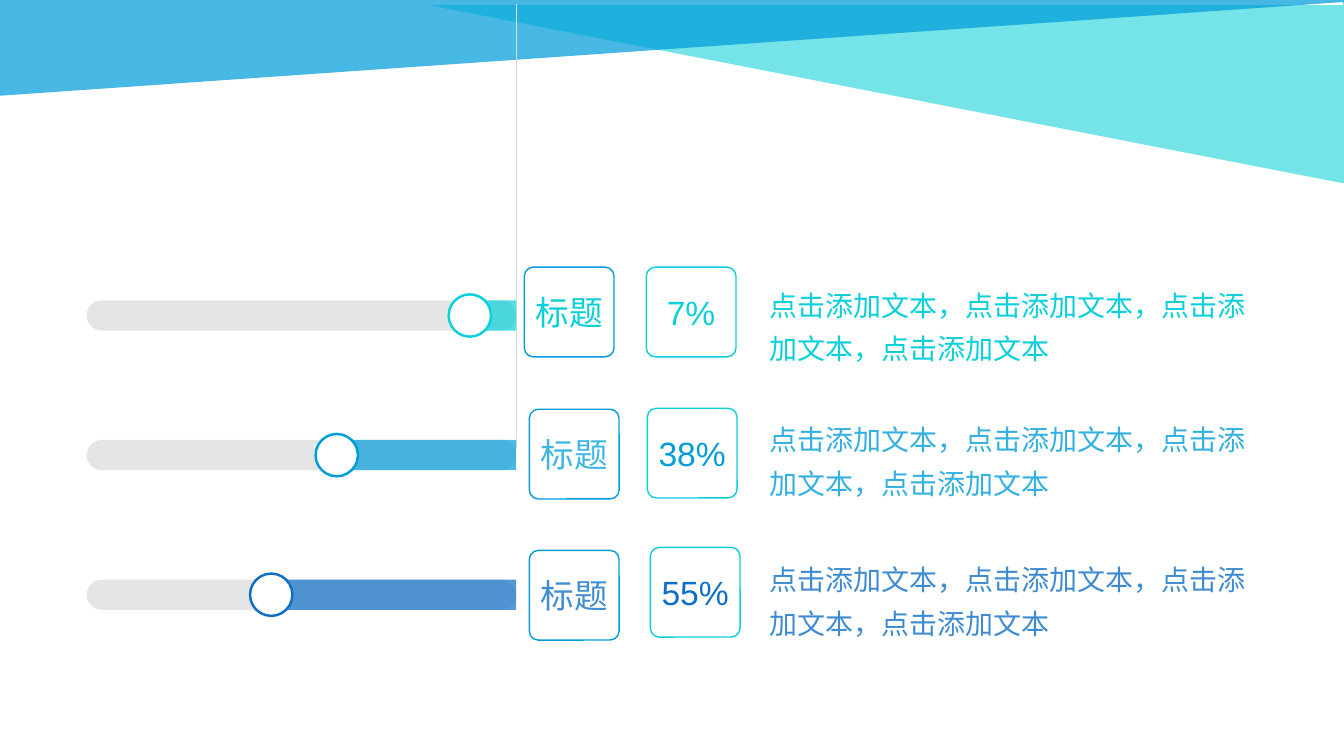
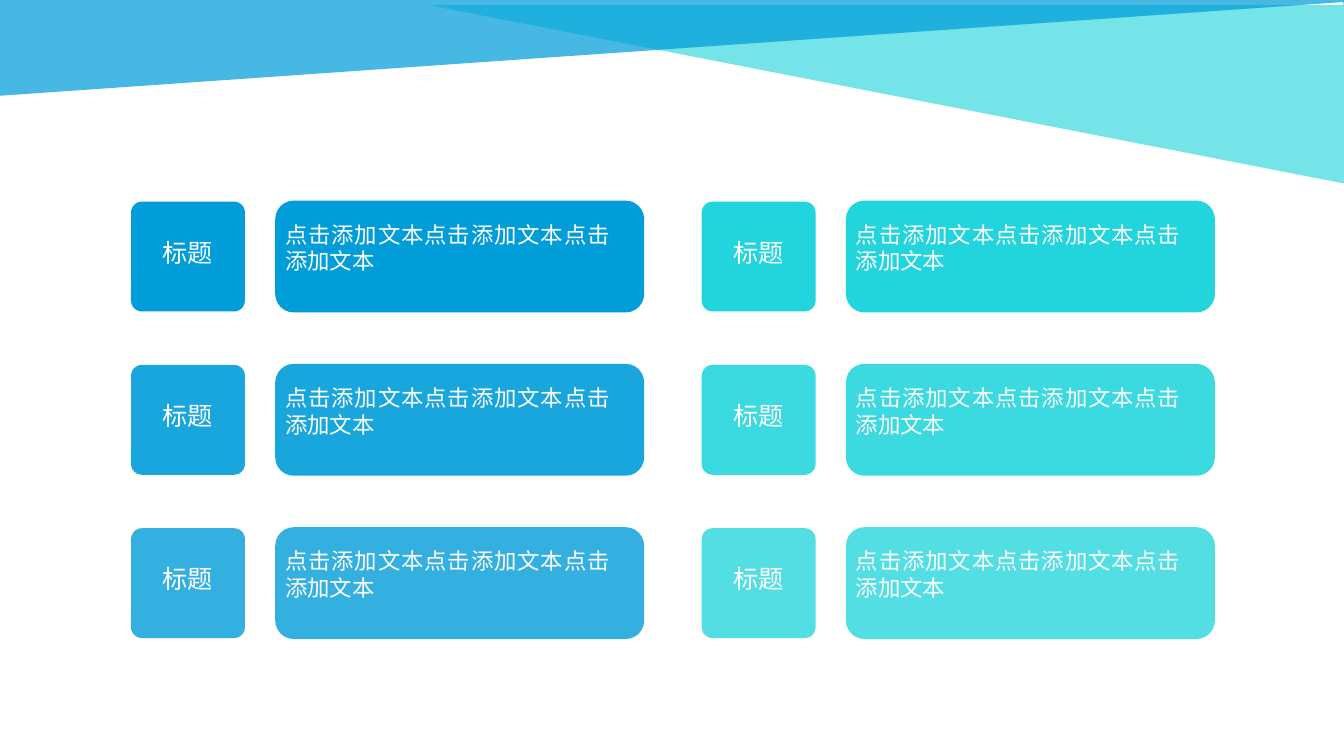
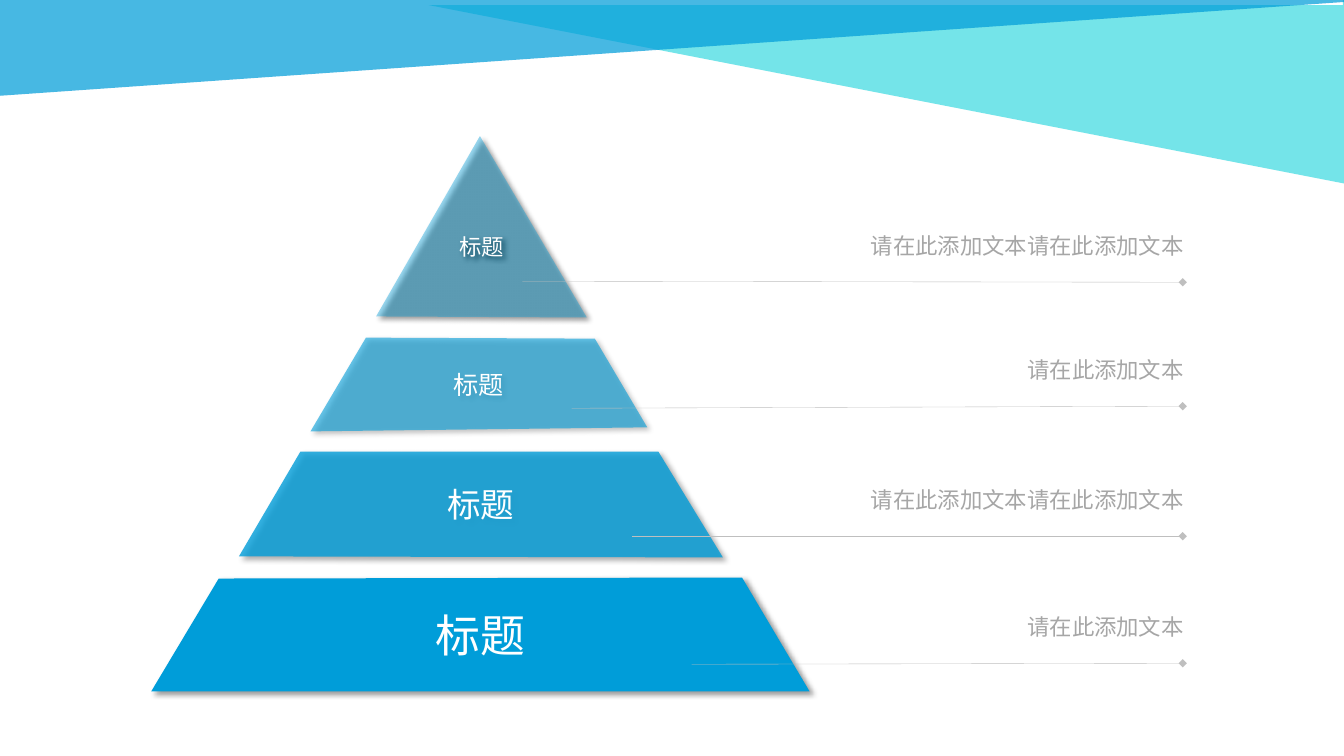
from dataclasses import dataclass
from itertools import product
from typing import Optional

from lxml.etree import SubElement
from pptx import Presentation
from pptx.dml.color import RGBColor
from pptx.enum.shapes import MSO_CONNECTOR, MSO_SHAPE
from pptx.enum.text import MSO_ANCHOR, PP_ALIGN
from pptx.oxml.ns import qn
from pptx.util import Inches, Pt

# Shared style
SLIDE_W, SLIDE_H = 13.33, 7.5
FONT = "Arial"
WHITE = RGBColor(0xFF, 0xFF, 0xFF)
NAVY = RGBColor(0x0F, 0x6F, 0xC6)
BLUE = RGBColor(0x00, 0x9D, 0xD9)
CYAN = RGBColor(0x0B, 0xD0, 0xD9)
TRACK_GREY = RGBColor(0xDA, 0xDA, 0xDA)
RULE_GREY = RGBColor(0xBF, 0xBF, 0xBF)
CAPTION_GREY = RGBColor(0xA6, 0xA6, 0xA6)
HEADING = "标题"

Point = tuple[float, float]
Box = tuple[float, float, float, float]


@dataclass(frozen=True)
class Slider:
    color: RGBColor
    percent: str
    fill_left: float
    knob_x: float
    label_at: Point
    percent_at: Point
    note_top: float
    label_alpha: int
    note_alpha: int


@dataclass(frozen=True)
class Layer:
    outline: tuple[Point, ...]
    alpha: int
    size: int
    caption: str
    caption_top: float
    rule_start: Point
    rule_end_y: float
    inset_top: float = 0.05


SLIDERS = (
    Slider(CYAN, "7%", 4.52, 4.66, (5.2, 2.65), (6.41, 2.65), 2.66, 100, 100),
    Slider(BLUE, "38%", 3.26, 3.34, (5.25, 4.06), (6.42, 4.05), 3.99, 75, 80),
    Slider(NAVY, "55%", 2.71, 2.69, (5.25, 5.46), (6.45, 5.43), 5.38, 78, 80),
)
SHORT_CAPTION = "请在此添加文本"
LAYERS = (
    Layer(((3.73, 3.14), (4.76, 1.35), (5.82, 3.15)), 40, 16,
          SHORT_CAPTION * 2, 2.25, (5.18, 2.79), 2.8, inset_top=0.39),
    Layer(((3.08, 4.28), (3.63, 3.35), (5.9, 3.36), (6.42, 4.24)), 60, 18,
          SHORT_CAPTION, 3.48, (5.67, 4.05), 4.03),
    Layer(((2.37, 5.52), (2.98, 4.48), (6.53, 4.48), (7.17, 5.53)), 80, 24,
          SHORT_CAPTION * 2, 4.77, (6.27, 5.32), 5.32),
    Layer(((1.5, 6.86), (2.17, 5.74), (7.36, 5.73), (8.03, 6.86)), 100, 32,
          SHORT_CAPTION, 6.03, (6.86, 6.59), 6.58),
)


# Drawing helpers
def set_alpha(parent, percent: int) -> None:
    """Make the solid fill inside parent see-through."""
    if percent < 100:
        color = parent.find(qn("a:solidFill"))[0]
        SubElement(color, qn("a:alpha")).set("val", str(percent * 1000))


def style(shape, fill: Optional[RGBColor], alpha: int = 100,
          line: Optional[RGBColor] = None, width: float = 1):
    shape.shadow.inherit = False
    if fill is None:
        shape.fill.background()
    else:
        shape.fill.solid()
        shape.fill.fore_color.rgb = fill
        set_alpha(shape.element.spPr, alpha)
    if line is None:
        shape.line.fill.background()
    else:
        shape.line.color.rgb = line
        shape.line.width = Pt(width)
    return shape


def add_preset(slide, kind: MSO_SHAPE, box: Box, fill: Optional[RGBColor],
               corner: Optional[float] = None, **look):
    shape = slide.shapes.add_shape(kind, *map(Inches, box))
    if corner is not None:
        shape.adjustments[0] = corner
    return style(shape, fill, **look)


def add_polygon(slide, points: tuple[Point, ...], fill: RGBColor, alpha: int):
    corners = [(Inches(x), Inches(y)) for x, y in points]
    builder = slide.shapes.build_freeform(*corners[0], scale=1.0)
    builder.add_line_segments(corners[1:], close=True)
    return style(builder.convert_to_shape(), fill, alpha)


def add_line(slide, start: Point, end: Point, color: RGBColor, width: float,
             tail: Optional[str] = None) -> None:
    line = slide.shapes.add_connector(
        MSO_CONNECTOR.STRAIGHT, *map(Inches, (*start, *end)))
    line.line.color.rgb = color
    line.line.width = Pt(width)
    properties = line.element.spPr
    if tail:
        SubElement(properties.find(qn("a:ln")), qn("a:tailEnd")).set("type", tail)
    SubElement(properties, qn("a:effectLst"))


def add_shadow(shape) -> None:
    effects = shape.element.spPr.find(qn("a:effectLst"))
    shadow = SubElement(effects, qn("a:outerShdw"), blurRad=str(Pt(4)),
                        dist=str(Pt(3)), dir=str(45 * 60000), algn="tl",
                        rotWithShape="0")
    color = SubElement(shadow, qn("a:srgbClr"), val="000000")
    SubElement(color, qn("a:alpha"), val="40000")


def write(shape, text: str, *, size: float, color: RGBColor = WHITE,
          alpha: int = 100, align: PP_ALIGN = PP_ALIGN.CENTER,
          anchor: MSO_ANCHOR = MSO_ANCHOR.MIDDLE,
          insets: Box = (0.1, 0.05, 0.1, 0.05),
          spacing: Optional[float] = None, before: float = 0) -> None:
    frame = shape.text_frame
    frame.word_wrap = True
    frame.vertical_anchor = anchor
    (frame.margin_left, frame.margin_top,
     frame.margin_right, frame.margin_bottom) = map(Inches, insets)
    paragraph = frame.paragraphs[0]
    paragraph.alignment = align
    paragraph.space_before = Pt(before)
    if spacing:
        paragraph.line_spacing = spacing
    run = paragraph.add_run()
    run.text = text
    run.font.name = FONT
    run.font.size = Pt(size)
    run.font.color.rgb = color
    for properties in shape.element.iter(qn("a:rPr")):
        set_alpha(properties, alpha)


def add_text(slide, box: Box, text: str, **text_format) -> None:
    write(slide.shapes.add_textbox(*map(Inches, box)), text,
          anchor=MSO_ANCHOR.TOP, **text_format)


# Header bands, kept once on the layout
def move_bands_to_layout(slide) -> None:
    bands = (
        add_polygon(slide, ((4.25, 0.05), (13.32, 0.05), (13.32, 0),
                            (SLIDE_W, 0), (SLIDE_W, 1.82)), CYAN, 57),
        add_polygon(slide, ((0, 0), (SLIDE_W, 0), (SLIDE_W, 0.02), (0, 0.95)),
                    BLUE, 72),
    )
    for number, band in enumerate(bands, start=101):
        band.element.nvSpPr.cNvPr.set("id", str(number))
        slide.slide_layout.shapes.element.append(band.element)


# Slide 1: sliders with percentages
def draw_sliders(slide) -> None:
    track_left, axis_x, bar_height, knob = 0.86, 5.12, 0.3, 0.42
    first_top, pitch, tile = 2.98, 1.385, 0.89
    note = "点击添加文本，点击添加文本，点击添加文本，点击添加文本"
    add_line(slide, (axis_x, 4.44), (axis_x, 0.04), TRACK_GREY, 0.5)
    for row, item in enumerate(SLIDERS):
        top = first_top + row * pitch
        add_preset(slide, MSO_SHAPE.ROUNDED_RECTANGLE,
                   (track_left, top, axis_x - track_left, bar_height),
                   TRACK_GREY, corner=0.5, alpha=70)
        add_preset(slide, MSO_SHAPE.RECTANGLE,
                   (item.fill_left, top, axis_x - item.fill_left, bar_height),
                   item.color, alpha=70)
        add_preset(slide, MSO_SHAPE.OVAL,
                   (item.knob_x - knob / 2, top + (bar_height - knob) / 2,
                    knob, knob), WHITE, line=item.color, width=1.75)
        for place, text, edge, alpha in (
                (item.label_at, HEADING, BLUE, item.label_alpha),
                (item.percent_at, item.percent, CYAN, 100)):
            frame = add_preset(slide, MSO_SHAPE.ROUNDED_RECTANGLE,
                               (*place, tile, tile), None, corner=0.1, line=edge)
            write(frame, text, size=24, color=item.color, alpha=alpha,
                  insets=(0, 0, 0, 0))
        add_text(slide, (7.53, item.note_top, 4.95, 1.29), note, size=20,
                 color=item.color, alpha=item.note_alpha, align=PP_ALIGN.LEFT,
                 insets=(0.1, 0.1, 0.1, 0.1), spacing=1.3)


# Slide 2: two columns of three cards
def draw_cards(slide) -> None:
    left, top, column_pitch, row_pitch = 1.3, 1.99, 5.66, 1.62
    columns = ((BLUE, 100), (CYAN, 90))
    for (column, (color, first_alpha)), row in product(enumerate(columns), range(3)):
        x, y = left + column * column_pitch, top + row * row_pitch
        alpha = first_alpha - 10 * row
        add_preset(slide, MSO_SHAPE.ROUNDED_RECTANGLE,
                   (x + 1.43, y, 3.66, 1.11), color, alpha=alpha)
        add_text(slide, (x + 1.43, y + 0.15, 3.42, 0.99), "点击添加文本" * 3,
                 size=16, align=PP_ALIGN.JUSTIFY, before=6)
        heading = add_preset(slide, MSO_SHAPE.ROUNDED_RECTANGLE,
                             (x, y + 0.01, 1.13, 1.09), color,
                             corner=0.1, alpha=alpha)
        write(heading, HEADING, size=18, insets=(0.1, 0.05, 0.1, 0.14))


# Slide 3: pyramid with captions
def draw_pyramid(slide) -> None:
    rule_right = 11.73
    for layer in LAYERS:
        block = add_polygon(slide, layer.outline, BLUE, layer.alpha)
        add_shadow(block)
        bottom = 0 if layer.inset_top > 0.05 else 0.05
        write(block, HEADING, size=layer.size,
              insets=(0, layer.inset_top, 0, bottom))
    for layer in LAYERS:
        add_text(slide, (7.88, layer.caption_top, 3.96, 0.37), layer.caption,
                 size=16, color=CAPTION_GREY, align=PP_ALIGN.RIGHT)
        add_line(slide, layer.rule_start, (rule_right, layer.rule_end_y),
                 RULE_GREY, 0.25, tail="diamond")


def main() -> None:
    deck = Presentation()
    deck.slide_width, deck.slide_height = Inches(SLIDE_W), Inches(SLIDE_H)
    blank = deck.slide_layouts[6]
    slides = [deck.slides.add_slide(blank) for _ in range(3)]
    move_bands_to_layout(slides[0])
    for slide, draw in zip(slides, (draw_sliders, draw_cards, draw_pyramid)):
        draw(slide)
    deck.save("out.pptx")


if __name__ == "__main__":
    main()
